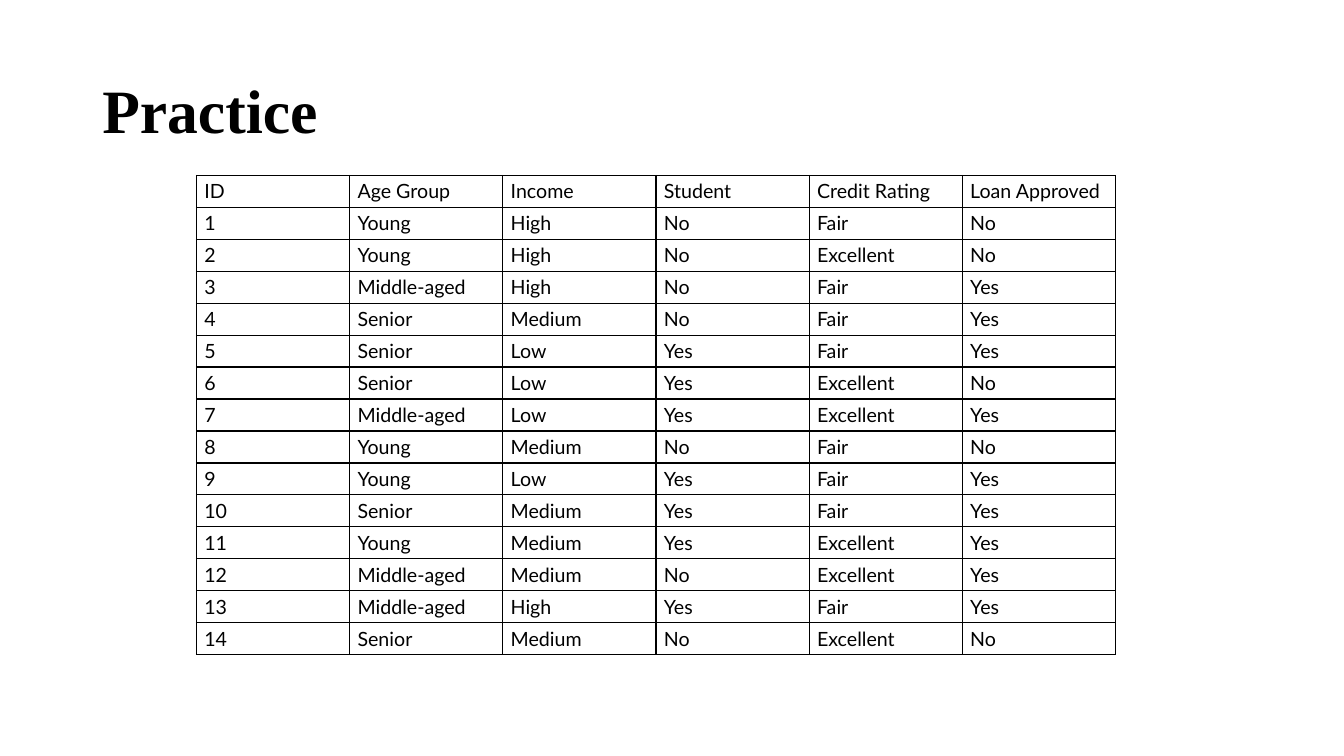
from typing import NamedTuple

from lxml.etree import SubElement
from pptx import Presentation
from pptx.dml.color import RGBColor
from pptx.enum.text import MSO_ANCHOR
from pptx.oxml.ns import qn
from pptx.util import Cm, Pt

BLACK = RGBColor(0x00, 0x00, 0x00)
WHITE = RGBColor(0xFF, 0xFF, 0xFF)
TITLE_FONT = "Times New Roman"
TABLE_FONT = "Lato"

TABLE_LEFT, TABLE_TOP = Cm(4.95), Cm(4.42)
TABLE_WIDTH, TABLE_HEIGHT = Cm(23.16), Cm(12.08)
BORDER_WIDTH = Pt(1)


class Applicant(NamedTuple):
    age_group: str
    income: str
    student: str
    credit_rating: str
    loan_approved: str


HEADINGS = ("ID", "Age Group", "Income", "Student", "Credit Rating", "Loan Approved")
APPLICANTS = [
    Applicant("Young", "High", "No", "Fair", "No"),
    Applicant("Young", "High", "No", "Excellent", "No"),
    Applicant("Middle-aged", "High", "No", "Fair", "Yes"),
    Applicant("Senior", "Medium", "No", "Fair", "Yes"),
    Applicant("Senior", "Low", "Yes", "Fair", "Yes"),
    Applicant("Senior", "Low", "Yes", "Excellent", "No"),
    Applicant("Middle-aged", "Low", "Yes", "Excellent", "Yes"),
    Applicant("Young", "Medium", "No", "Fair", "No"),
    Applicant("Young", "Low", "Yes", "Fair", "Yes"),
    Applicant("Senior", "Medium", "Yes", "Fair", "Yes"),
    Applicant("Young", "Medium", "Yes", "Excellent", "Yes"),
    Applicant("Middle-aged", "Medium", "No", "Excellent", "Yes"),
    Applicant("Middle-aged", "High", "Yes", "Fair", "Yes"),
    Applicant("Senior", "Medium", "No", "Excellent", "No"),
]


def style_font(font, name: str, size: float, bold: bool = False) -> None:
    font.name = name
    font.size = Pt(size)
    font.bold = bold
    font.color.rgb = BLACK


def add_title(slide, text: str) -> None:
    box = slide.shapes.add_textbox(Cm(2.33), Cm(1.01), Cm(29.21), Cm(3.68))
    frame = box.text_frame
    frame.word_wrap = True
    frame.vertical_anchor = MSO_ANCHOR.MIDDLE
    paragraph = frame.paragraphs[0]
    paragraph.text = text
    paragraph.line_spacing = 0.9
    style_font(paragraph.font, TITLE_FONT, 44, bold=True)


def add_borders(cell) -> None:
    """Draw a black line on all four sides; call before setting the cell's fill."""
    properties = cell._tc.get_or_add_tcPr()
    for side in ("lnL", "lnR", "lnT", "lnB"):
        line = SubElement(properties, qn(f"a:{side}"), w=str(BORDER_WIDTH))
        fill = SubElement(line, qn("a:solidFill"))
        SubElement(fill, qn("a:srgbClr"), val=str(BLACK))


def fill_cell(cell, text: str) -> None:
    cell.margin_left = cell.margin_right = Cm(0.2)
    cell.margin_top = cell.margin_bottom = Cm(0.1)
    cell.vertical_anchor = MSO_ANCHOR.MIDDLE
    add_borders(cell)
    cell.fill.background()
    paragraph = cell.text_frame.paragraphs[0]
    paragraph.text = text
    style_font(paragraph.font, TABLE_FONT, 14)


def add_loan_table(slide) -> None:
    rows = [HEADINGS]
    rows += [(str(number), *applicant) for number, applicant in enumerate(APPLICANTS, 1)]
    table = slide.shapes.add_table(
        len(rows), len(HEADINGS), TABLE_LEFT, TABLE_TOP, TABLE_WIDTH, TABLE_HEIGHT
    ).table
    table.first_row = False
    table.horz_banding = False
    for row_index, row in enumerate(rows):
        for column_index, text in enumerate(row):
            fill_cell(table.cell(row_index, column_index), text)


def main() -> None:
    presentation = Presentation()
    presentation.slide_width = Cm(33.87)
    presentation.slide_height = Cm(19.05)
    slide = presentation.slides.add_slide(presentation.slide_layouts[6])
    slide.background.fill.solid()
    slide.background.fill.fore_color.rgb = WHITE
    add_title(slide, "Practice")
    add_loan_table(slide)
    presentation.save("out.pptx")


if __name__ == "__main__":
    main()
